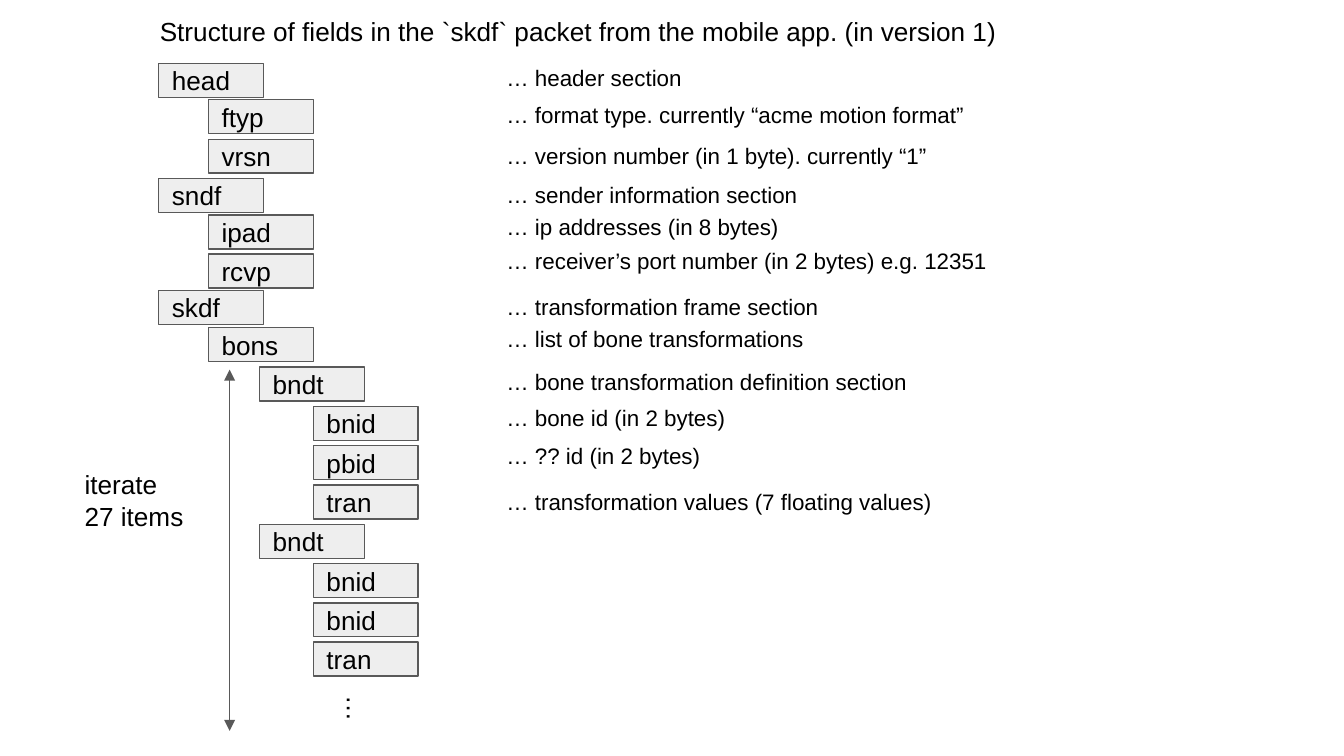
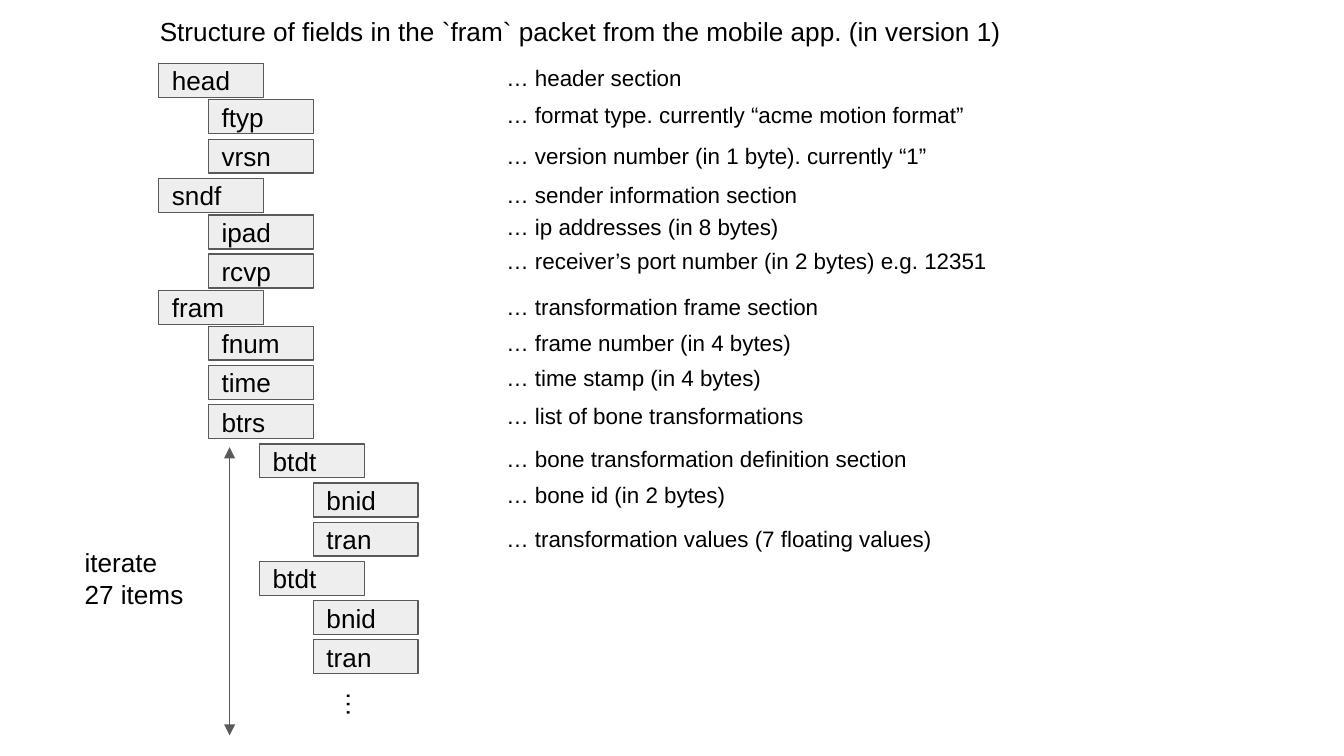
from lxml import etree
from pptx import Presentation
from pptx.dml.color import RGBColor
from pptx.enum import shapes, text
from pptx.oxml import ns
from pptx.util import Pt

FONT, INK, EDGE, FILL = "Arial", "000000", "595959", "EEEEEE"
LEFTS = (85, 111.6, 139, 167.8)
NOTE_X, NOTE_W = 264.2, 264.2

# level, top, field, note top, note width, note
SHARED = [
    (0, 34, "head", 27.4, 214.6, "header section"),
    (1, 53.4, "ftyp", 46.8, 303.2, "format type. currently “acme motion format”"),
    (1, 74.6, "vrsn", 69, 283.6, "version number (in 1 byte). currently “1”"),
    (0, 95.6, "sndf", 90, 214.6, "sender information section"),
    (1, 115.2, "ipad", 107.2, NOTE_W, "ip addresses (in 8 bytes)"),
    (1, 136.2, "rcvp", 125.4, 318.2, "receiver’s port number (in 2 bytes) e.g. 12351"),
]
FRAME_TOP, FRAME_NOTE = 155.6, (149.8, "transformation frame section")

# level, field, optional (note top, note); rows are evenly spaced
SKDF = [
    (1, "bons", (167, "list of bone transformations")),
    (2, "bndt", (190, "bone transformation definition section")),
    (3, "bnid", (209.4, "bone id (in 2 bytes)")),
    (3, "pbid", (229.8, "?? id (in 2 bytes)")),
    (3, "tran", (254.4, "transformation values (7 floating values)")),
    (2, "bndt", None),
    (3, "bnid", None),
    (3, "bnid", None),
    (3, "tran", None),
]
FRAM = [
    (1, "fnum", (169.2, "frame number (in 4 bytes)")),
    (1, "time", (188, "time stamp (in 4 bytes)")),
    (1, "btrs", (208.2, "list of bone transformations")),
    (2, "btdt", (231.2, "bone transformation definition section")),
    (3, "bnid", (250.6, "bone id (in 2 bytes)")),
    (3, "tran", (274.2, "transformation values (7 floating values)")),
    (2, "btdt", None),
    (3, "bnid", None),
    (3, "tran", None),
]


def color(code):
    return RGBColor.from_string(code)


class Deck:
    def __init__(self):
        self.prs = Presentation()
        self.prs.slide_width, self.prs.slide_height = Pt(720), Pt(405)
        self.slide = None

    def style(self, shape, words, size, **extra):
        """Fill a shape with left-aligned lines in the deck's style."""
        frame = shape.text_frame
        form = {"margin_" + side: Pt(7.2) for side in ("left", "top", "right", "bottom")}
        form.update(word_wrap=True, vertical_anchor=text.MSO_ANCHOR.TOP)
        form.update(extra)
        frame.text = words
        for key, value in form.items():
            setattr(frame, key, value)
        for para in frame.paragraphs:
            para.alignment = text.PP_ALIGN.LEFT
            para.font.name, para.font.size = FONT, Pt(size)
            para.font.color.rgb = color(INK)

    def title(self, words, width):
        self.slide = self.prs.slides.add_slide(self.prs.slide_layouts[5])
        shape = self.slide.shapes.title
        place = {"left": 78.4, "top": 0.8, "width": width, "height": 31}
        for key, value in place.items():
            setattr(shape, key, Pt(value))
        self.style(shape, words, 14, auto_size=text.MSO_AUTO_SIZE.NONE)

    def label(self, words, x, y, w, h, size=14, turn=0):
        shape = self.slide.shapes.add_textbox(Pt(x), Pt(y), Pt(w), Pt(h))
        shape.rotation = turn
        self.style(shape, words, size, auto_size=text.MSO_AUTO_SIZE.SHAPE_TO_FIT_TEXT)

    def note(self, words, y, w=NOTE_W):
        self.label("… " + words, NOTE_X, y, w, 28.8, 12)

    def field(self, name, level, y):
        shape = self.slide.shapes.add_shape(
            shapes.MSO_SHAPE.RECTANGLE, Pt(LEFTS[level]), Pt(y), Pt(56.2), Pt(18.2))
        shape.shadow.inherit = False
        shape.fill.solid()
        shape.fill.fore_color.rgb = color(FILL)
        shape.line.color.rgb = color(EDGE)
        shape.line.width = Pt(0.75)
        self.style(shape, name, 14, vertical_anchor=text.MSO_ANCHOR.MIDDLE)

    def arrow(self, x, top, end):
        """Draw a vertical line with a head at both ends."""
        line = self.slide.shapes.add_connector(
            shapes.MSO_CONNECTOR.STRAIGHT, Pt(x), Pt(top), Pt(x), Pt(end))
        line.line.color.rgb = color(EDGE)
        line.line.width = Pt(0.75)
        props = line._element.spPr
        for tag in ("a:headEnd", "a:tailEnd"):
            etree.SubElement(props.find(ns.qn("a:ln")), ns.qn(tag), type="triangle")
        etree.SubElement(props, ns.qn("a:effectLst"))

    def packet(self, name, width, rows, start, step, span, loop, dots):
        self.title(f"Structure of fields in the `{name}` packet "
                   "from the mobile app. (in version 1)", width)
        frame = (0, FRAME_TOP, name, FRAME_NOTE[0], NOTE_W, FRAME_NOTE[1])
        for level, y, key, low, wide, words in SHARED + [frame]:
            self.field(key, level, y)
            self.note(words, low, wide)
        for i, (level, key, note) in enumerate(rows):
            self.field(key, level, start + i * step)
            if note:
                self.note(note[1], note[0])
        self.label("…", 177.8, dots, 27.4, 31, turn=90)
        self.arrow(123, *span)
        self.label("iterate\n27 items", 38.2, loop, 80.6, 48.2)


def main():
    deck = Deck()
    deck.packet("skdf", 541.4, SKDF, 175.6, 21.06, (198, 391.6), 244, 363.6)
    deck.packet("fram", 506.2, FRAM, 174.8, 21, (239.6, 394), 285.8, 361.6)
    deck.prs.save("out.pptx")


if __name__ == "__main__":
    main()
